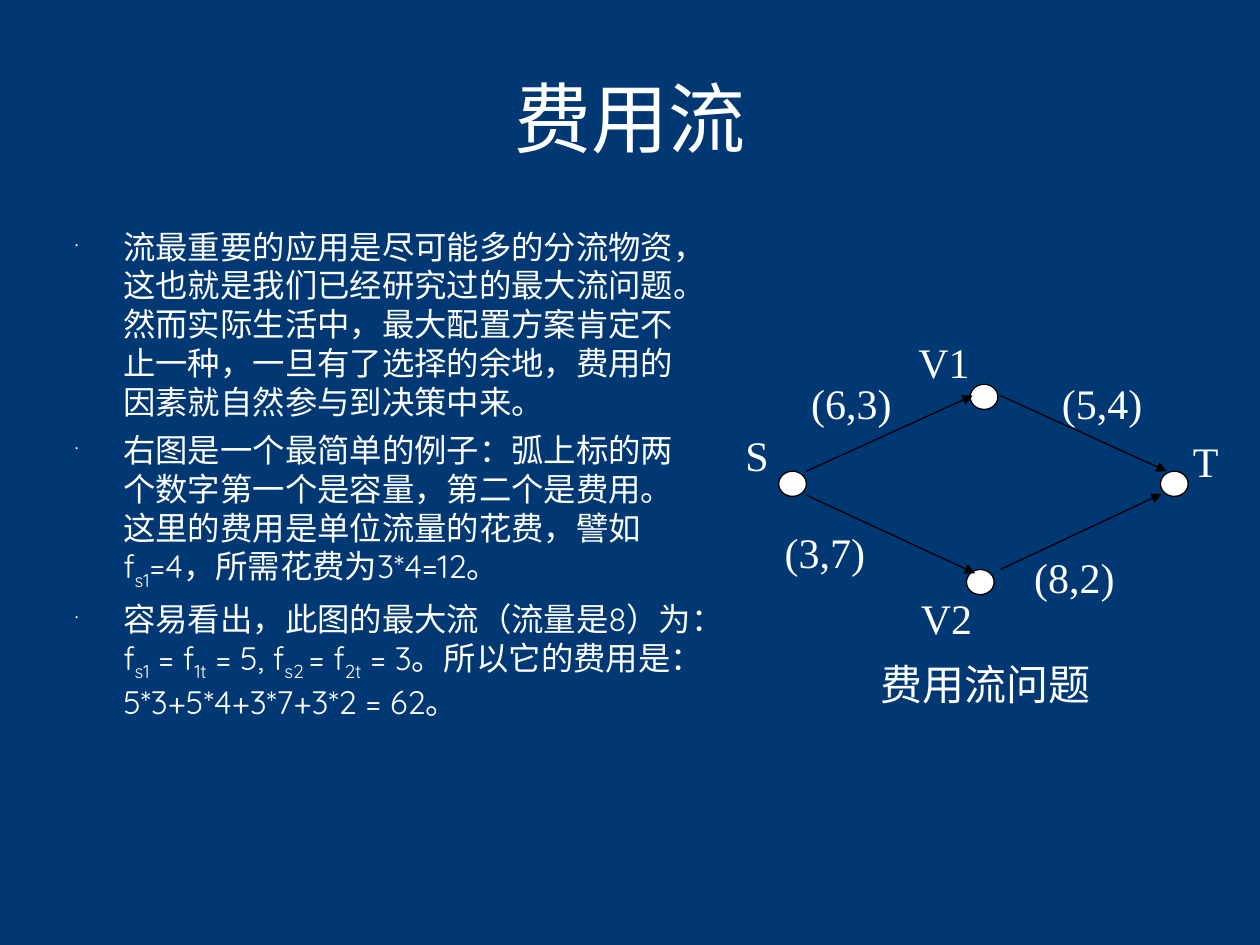
import pptx
import pptx.util
import pptx.dml.color
import pptx.enum.shapes
import pptx.enum.text
import pptx.oxml.ns
from lxml import etree

RGBColor = pptx.dml.color.RGBColor
NAVY = RGBColor(0x00, 0x38, 0x73)
WHITE = RGBColor(0xFF, 0xFF, 0xFF)
BLACK = RGBColor(0x00, 0x00, 0x00)
ALIGN = pptx.enum.text.PP_ALIGN
ANCHOR = pptx.enum.text.MSO_ANCHOR

COLUMNS, ROWS = 100, 75
CELL = pptx.util.Inches(10) // COLUMNS

# Boxes are left, top, width, height in grid cells.
TITLE_BOX = (5, 3, 90, 12.5)
BODY_BOX = (5, 17.5, 51.2, 49.5)
NETWORK_BOX = (55, 26, 45, 32)

# Each paragraph alternates normal text and subscripts.
BODY = [
    ["流最重要的应用是尽可能多的分流物资，这也就是我们已经研究过的最大流问题。"
     "然而实际生活中，最大配置方案肯定不止一种，一旦有了选择的余地，"
     "费用的因素就自然参与到决策中来。"],
    ["右图是一个最简单的例子：弧上标的两个数字第一个是容量，第二个是费用。"
     "这里的费用是单位流量的花费，譬如f", "s1", "=4，所需花费为3*4=12。"],
    ["容易看出，此图的最大流（流量是8）为：f", "s1", " = f", "1t", " = 5, f",
     "s2 ", "= f", "2t", " = 3。所以它的费用是：5*3+5*4+3*7+3*2 = 62。"],
]

# Positions in the network are cells from its top left corner.
NODE_SIZE = (2.2, 2)
NODES = [(6.8, 11.4), (22, 4.5), (21.7, 19.2), (37.1, 11.4)]
ARCS = [
    (9, 11.4, 22.2, 5.4),
    (9, 13.3, 22.4, 19.5),
    (24.4, 5.4, 37.6, 11.4),
    (24.4, 19.2, 37.2, 13.2),
]
LABEL_HEIGHT = 5.9
LABELS = [
    ("(6,3)", 8.4, 3.5, 11, ALIGN.LEFT),
    ("(5,4)", 28.3, 3.5, 11, ALIGN.LEFT),
    ("(3,7)", 6.3, 15.3, 11, ALIGN.LEFT),
    ("(8,2)", 26.1, 17.3, 11, ALIGN.LEFT),
    ("S", 0.4, 7.6, 6.6, ALIGN.RIGHT),
    ("T", 38.7, 8.1, 6.3, ALIGN.LEFT),
    ("V1", 16.9, 0.2, 13.2, ALIGN.LEFT),
    ("V2", 17.1, 20.5, 11, ALIGN.LEFT),
    ("费用流问题", 8.9, 25.8, 28.6, ALIGN.CENTER),
]


def cells(*counts):
    return [round(count * CELL) for count in counts]


def style_span(span, size, font):
    span.font.size = pptx.util.Pt(size)
    span.font.name = font
    span.font.color.rgb = WHITE


def add_text_frame(page, box):
    frame = page.shapes.add_textbox(*cells(*box)).text_frame
    frame.word_wrap = True
    return frame


def add_line_of_text(page, box, text, size, font, align):
    frame = add_text_frame(page, box)
    frame.text = text
    para = frame.paragraphs[0]
    para.alignment = align
    style_span(para.runs[0], size, font)
    return frame


def add_child(parent, tag, **attributes):
    return etree.SubElement(parent, pptx.oxml.ns.qn(tag), **attributes)


def add_bullet(para):
    indent = pptx.util.Inches(0.38)
    properties = para._p.get_or_add_pPr()
    properties.set("marL", str(indent))
    properties.set("indent", str(-indent))
    colour = add_child(properties, "a:buClr")
    add_child(colour, "a:srgbClr", val=str(WHITE))
    add_child(properties, "a:buSzPct", val="25000")
    add_child(properties, "a:buChar", char="•")


def add_title(page, box):
    frame = add_line_of_text(page, box, "费用流", 44, "Quicksand", ALIGN.CENTER)
    frame.vertical_anchor = ANCHOR.MIDDLE


def add_body(page, box):
    frame = add_text_frame(page, box)
    for number, pieces in enumerate(BODY):
        para = frame.add_paragraph() if number else frame.paragraphs[0]
        para.space_before = pptx.util.Pt(5)
        add_bullet(para)
        for position, piece in enumerate(pieces):
            span = para.add_run()
            span.text = piece
            style_span(span, 18.5, "Quicksand")
            if position % 2:
                span.font._element.set("baseline", "-25000")


def add_node(page, left, top):
    node = page.shapes.add_shape(
        pptx.enum.shapes.MSO_SHAPE.OVAL, *cells(left, top, *NODE_SIZE))
    node.shadow.inherit = False
    node.fill.solid()
    node.fill.fore_color.rgb = WHITE
    node.line.color.rgb = BLACK
    node.line.width = pptx.util.Pt(0.75)


def add_arc(page, *ends):
    arc = page.shapes.add_connector(
        pptx.enum.shapes.MSO_CONNECTOR.STRAIGHT, *cells(*ends))
    arc.line.color.rgb = BLACK
    arc.line.width = pptx.util.Pt(0.75)
    add_child(arc.line._get_or_add_ln(), "a:tailEnd", type="triangle")
    add_child(arc._element.spPr, "a:effectLst")


def add_network(page, box):
    left, top = box[:2]
    for x, y in NODES:
        add_node(page, left + x, top + y)
    for x1, y1, x2, y2 in ARCS:
        add_arc(page, left + x1, top + y1, left + x2, top + y2)
    for text, x, y, width, align in LABELS:
        label_box = (left + x, top + y, width, LABEL_HEIGHT)
        add_line_of_text(page, label_box, text, 24, "Times New Roman", align)


def main():
    deck = pptx.Presentation()
    deck.slide_width, deck.slide_height = cells(COLUMNS, ROWS)
    page = deck.slides.add_slide(deck.slide_layouts[6])
    page.background.fill.solid()
    page.background.fill.fore_color.rgb = NAVY
    add_title(page, TITLE_BOX)
    add_body(page, BODY_BOX)
    add_network(page, NETWORK_BOX)
    deck.save("out.pptx")


if __name__ == "__main__":
    main()
